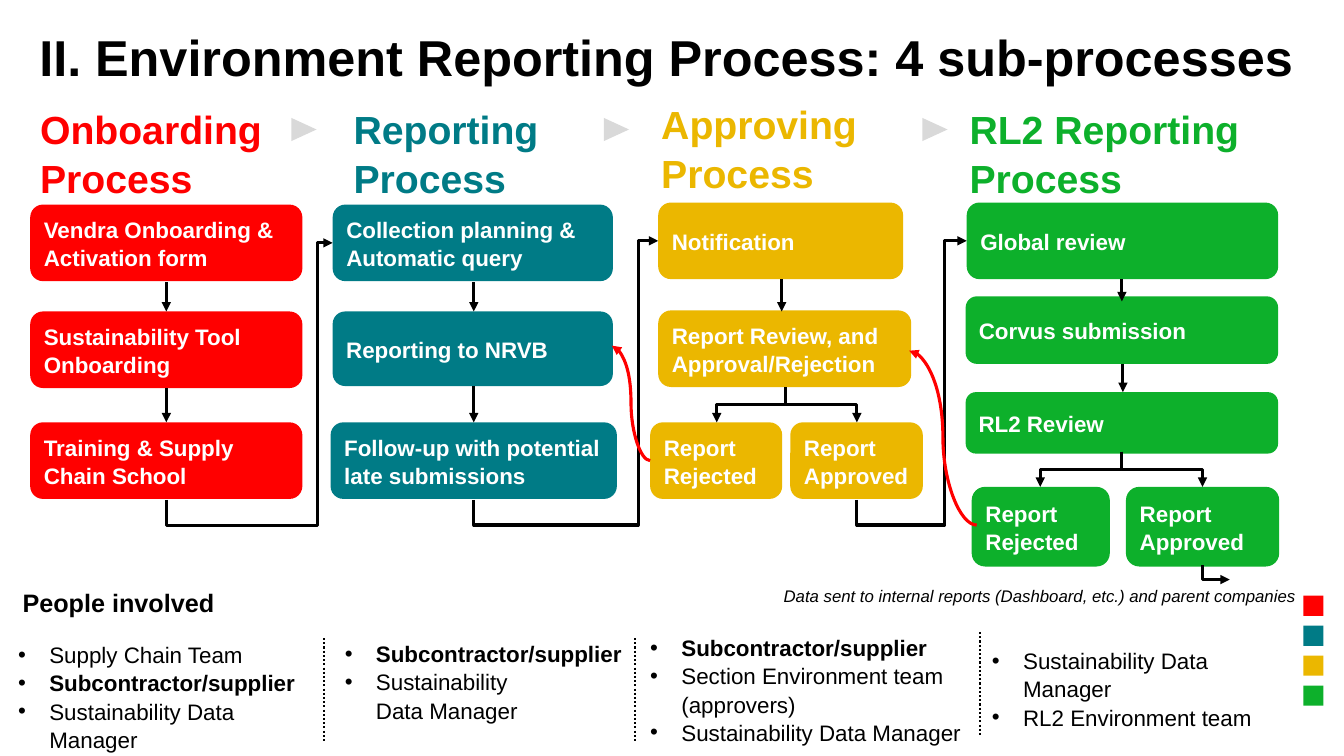
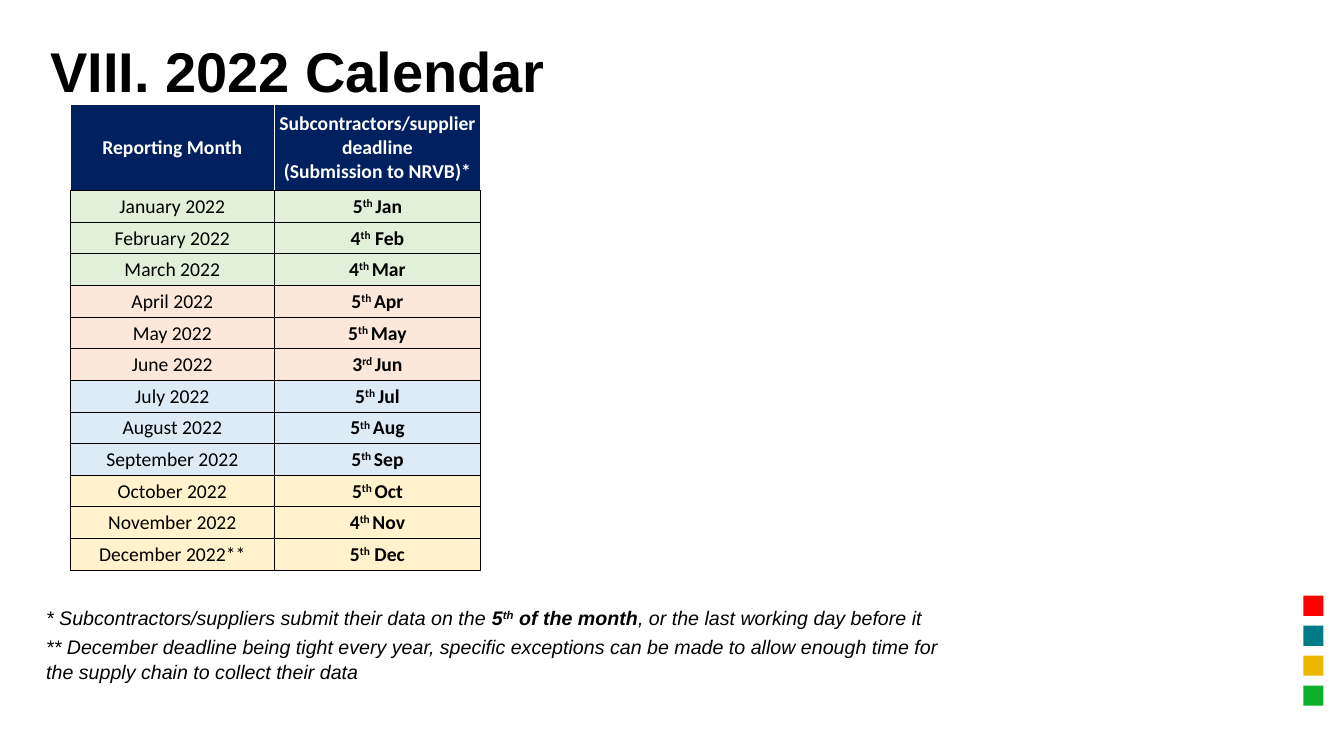
from lxml import etree
from pptx import Presentation
from pptx import util as u
from pptx.dml.color import RGBColor
from pptx.enum import dml, shapes, text
from pptx.oxml.ns import qn

CELL = u.Inches(0.1)  # side of one grid cell: all lengths count cells
INK = {
    "red": "FF0000", "teal": "007B86", "gold": "EBB700", "green": "0DB02B",
    "black": "000000", "white": "FFFFFF", "grey": "D9D9D9", "navy": "002060",
    "spring": "E2F0D9", "peach": "FDE7D8", "sky": "DDEBF7", "sand": "FFF2CC",
}
KIND = shapes.MSO_SHAPE
LINE = shapes.MSO_CONNECTOR
LEFT, MID, RIGHT = text.PP_ALIGN.LEFT, text.PP_ALIGN.CENTER, text.PP_ALIGN.RIGHT
TOP, CENTER = text.MSO_ANCHOR.TOP, text.MSO_ANCHOR.MIDDLE


def cells(*sizes):
    return [round(size * CELL) for size in sizes]


def tint(name):
    return RGBColor.from_string(INK[name])


def sub(node, tag, **attrs):
    child = etree.SubElement(node, qn(tag))
    for key, value in attrs.items():
        child.set(key, str(value))
    return child


class Deck:
    """Holds the style and the slide being filled."""

    def __init__(self):
        self.show = Presentation()
        self.show.slide_width, self.show.slide_height = cells(133.33, 75)
        self.page = None

    def begin(self, layout, title, at, size):
        self.page = self.show.slides.add_slide(self.show.slide_layouts[layout])
        self.fill(self.page.shapes.title, at, [title], size, bold=True, pad=0)
        for row, ink in enumerate(("red", "teal", "gold", "green")):
            self.shape(KIND.RECTANGLE, (129.3, 59.1 + 2.97 * row, 2, 2), ink)

    def words(self, para, copy, size, ink="black", bold=False, italic=False,
              align=LEFT, face="Arial", space=1.05):
        """Set one paragraph: _bold_, ^raised^, and a newline for a break."""
        para.alignment, para.line_spacing = align, space
        para.space_before = u.Pt(0)
        font = para.font
        font.name, font.size = face, u.Pt(size)
        font.bold, font.italic = bold, italic
        font.color.rgb = tint(ink)
        for row, line in enumerate(copy.split("\n")):
            if row:
                para.add_line_break()
            for heavy, part in enumerate(line.split("_")):
                for high, bit in enumerate(part.split("^")):
                    if bit:
                        run = para.add_run()
                        run.text = bit
                        if heavy % 2:
                            run.font.bold = True
                        if high % 2:
                            run.font._element.set("baseline", "30000")

    def fill(self, box, at, lines, size, pad=None, anchor=TOP, bullet=False, **style):
        """Place a box, then set its frame and its paragraphs."""
        box.left, box.top, box.width, box.height = cells(*at)
        frame = box.text_frame
        frame.word_wrap, frame.vertical_anchor = True, anchor
        frame.auto_size = text.MSO_AUTO_SIZE.NONE
        if pad is not None:
            frame.margin_left = frame.margin_right = pad
            frame.margin_top = frame.margin_bottom = pad
        for row, line in enumerate(lines):
            para = frame.add_paragraph() if row else frame.paragraphs[0]
            if bullet:
                props = para._p.get_or_add_pPr()
                hang = u.Inches(0.31)
                props.set("marL", str(hang))
                props.set("indent", str(-hang))
                sub(props, "a:buFont", typeface="Arial")
                sub(props, "a:buChar", char="•")
            self.words(para, line, size, **style)

    def label(self, at, line, size, **style):
        self.fill(self.page.shapes.add_textbox(0, 0, 0, 0), at, [line], size, **style)

    def bullets(self, slot, at, lines):
        self.fill(self.page.placeholders[slot], at, lines, 16, pad=0, bullet=True)

    def shape(self, kind, at, ink, turn=0):
        item = self.page.shapes.add_shape(kind, *cells(*at))
        item.shadow.inherit = False
        item.fill.solid()
        item.fill.fore_color.rgb = tint(ink)
        item.line.fill.background()
        item.rotation = turn
        return item

    def step(self, at, line, ink):
        item = self.shape(KIND.ROUNDED_RECTANGLE, at, ink)
        self.fill(item, at, [line], 16, anchor=CENTER, ink="white", bold=True)

    def wire(self, start, end, kind=LINE.STRAIGHT, ink="black", width=2.25, dots=False):
        item = self.page.shapes.add_connector(kind, *cells(*start, *end))
        item.line.width = u.Pt(width)
        item.line.color.rgb = tint(ink)
        props = item._element.spPr
        if dots:
            item.line.dash_style = dml.MSO_LINE.ROUND_DOT
        else:
            sub(props.get_or_add_ln(), "a:tailEnd", type="triangle")
        sub(props, "a:effectLst")
        return item

    def elbow(self, start, end, form="bentConnector3", bends=(0.5,)):
        """Bent arrow that leaves its start vertically."""
        (ax, ay), (bx, by) = start, end
        mx, my = (ax + bx) / 2, (ay + by) / 2
        turn = 270 if bx > ax and by > ay else 90
        sign = 1 if turn == 90 else -1
        dx, dy = sign * (ay - my), sign * (mx - ax)
        item = self.wire((mx + dx, my + dy), (mx - dx, my - dy), LINE.ELBOW)
        props = item._element.spPr
        props.find(qn("a:xfrm")).set("rot", str(turn * 60000))
        shape = props.find(qn("a:prstGeom"))
        shape.set("prst", form)
        for old in list(shape):
            shape.remove(old)
        guides = sub(shape, "a:avLst")
        for i, bend in enumerate(bends, 1):
            sub(guides, "a:gd", name=f"adj{i}", fmla=f"val {round(bend * 100000)}")

    def climb(self, start, end, lane):
        """Arrow that dips, rises along a lane and enters the next column."""
        (ax, ay), (bx, by) = start, end
        bends = (-2.5 / (ay - by), (lane - ax) / (bx - ax))
        self.elbow(start, end, "bentConnector4", bends)

    def edge(self, cell, sides):
        props = cell._tc.get_or_add_tcPr()
        for i, (side, ink) in enumerate(zip("LRTB", sides)):
            line = etree.Element(qn(f"a:ln{side}"), w=str(u.Pt(0.5)))
            sub(sub(line, "a:solidFill"), "a:srgbClr", val=INK[ink])
            props.insert(i, line)

    def cell(self, cell, lines, back, sides, **style):
        cell.fill.solid()
        cell.fill.fore_color.rgb = tint(back)
        cell.vertical_anchor = CENTER
        cell.margin_left = cell.margin_right = cell.margin_top = u.Inches(0.01)
        cell.margin_bottom = 0
        frame = cell.text_frame
        for row, line in enumerate(lines):
            para = frame.add_paragraph() if row else frame.paragraphs[0]
            self.words(para, line, 14, align=MID, face="Calibri", space=1.0, **style)
        self.edge(cell, sides)

    def table(self, at, widths, tall, head, rows):
        """Table whose body rows are (month, date, fill)."""
        grid = self.page.shapes.add_table(len(rows) + 1, len(widths), *cells(*at)).table
        grid.horz_banding = False
        for col, width in zip(grid.columns, cells(*widths)):
            col.width = width
        rest = (at[3] - tall) / len(rows)
        for row, height in zip(grid.rows, cells(tall, *[rest] * len(rows))):
            row.height = height
        for x, lines in enumerate(head):
            self.cell(grid.cell(0, x), lines, "navy", ["white"] * 3 + ["black"],
                      ink="white", bold=True)
        for y, (*pair, back) in enumerate(rows, 1):
            for x, line in enumerate(pair):
                self.cell(grid.cell(y, x), [line], back, ["black"] * 4, bold=x > 0)


def flow(deck):
    deck.begin(4, "II. Environment Reporting Process: 4 sub-processes",
               (3.9, 2.3, 126.3, 8.3), 36)
    heads = [
        ("Onboarding Process", (3, 9.7, 28, 10.4), "red", None),
        ("Reporting Process", (34.1, 9.7, 27, 10.4), "teal", None),
        ("Approving Process", (65.6, 9.7, 27.8, 11.8), "gold", 0),
        ("RL2 Reporting Process", (95.2, 9.7, 33.3, 10.4), "green", None),
    ]
    for line, at, ink, pad in heads:
        deck.label(at, line, 28, ink=ink, bold=True, pad=pad)

    steps = {
        "red": [
            ((3, 20.3, 27, 7.6), "Vendra Onboarding & Activation form"),
            ((3, 30.9, 27, 7.6), "Sustainability Tool Onboarding"),
            ((3, 41.9, 27, 7.6), "Training & Supply Chain School"),
        ],
        "teal": [
            ((33, 20.3, 27.8, 7.6), "Collection planning & Automatic query"),
            ((33, 30.9, 27.8, 7.4), "Reporting to NRVB"),
            ((32.8, 41.9, 28.4, 7.6), "Follow-up with potential late submissions"),
        ],
        "gold": [
            ((65.3, 20.1, 24.3, 7.6), "Notification"),
            ((65.3, 30.8, 25.1, 7.6), "Report Review, and Approval/Rejection"),
            ((64.5, 41.9, 13.1, 7.6), "Report Rejected"),
            ((78.4, 41.9, 13.15, 7.6), "Report Approved"),
        ],
        "green": [
            ((95.9, 20.1, 30.9, 7.6), "Global review"),
            ((95.8, 29.4, 31, 6.7), "Corvus submission"),
            ((95.8, 38.9, 31, 6.1), "RL2 Review"),
            ((96.4, 48.3, 13.7, 7.9), "Report Rejected"),
            ((111.7, 48.3, 15.2, 7.9), "Report Approved"),
        ],
    }
    for ink, items in steps.items():
        for at, line in items:
            deck.step(at, line, ink)

    drops = [(16.5, 28, 30.9), (16.5, 38.5, 41.9), (47, 28, 30.9), (47, 38.3, 41.9),
             (77.55, 27.7, 30.9), (111.3, 27.7, 29.9), (111.4, 36.1, 38.9)]
    for x, top, end in drops:
        deck.wire((x, top), (x, end))
    forks = [((77.9, 38.4), (71.1, 85), 41.9), ((111.3, 44.8), (103.2, 119.3), 48.3)]
    for start, ends, y in forks:
        for x in ends:
            deck.elbow(start, (x, y))
    deck.climb((16.5, 49.6), (33, 24.1), 31.5)
    deck.climb((47, 49.6), (65.3, 23.9), 63.3)
    deck.climb((85, 49.6), (95.9, 23.9), 93.7)
    deck.elbow((119.3, 56.1), (122, 57.5), "bentConnector2", ())
    for start, end in [((96.9, 52.1), (90.2, 34.8)), ((64.5, 45.7), (60.7, 34.3))]:
        deck.wire(start, end, LINE.CURVE, "red")

    deck.label((74.8, 58, 53.8, 4.7), "Data sent to internal reports (Dashboard, etc.) "
               "and parent companies", 12, pad=0, italic=True, align=RIGHT)
    deck.label((0, 58, 23.5, 3.4), "People involved", 18, pad=0, bold=True,
               align=MID, anchor=CENTER)
    teams = [
        ((1.8, 63.5, 29.3, 7.3), ["Supply Chain Team", "_Subcontractor/supplier_",
                                  "Sustainability Data Manager"]),
        ((34.2, 63.4, 27.7, 7.4), ["_Subcontractor/supplier_",
                                   "Sustainability\nData Manager"]),
        ((64.5, 62.8, 31.8, 11.4), ["_Subcontractor/supplier_",
                                    "Section Environment team (approvers)",
                                    "Sustainability Data Manager"]),
        ((98.4, 64.1, 31.3, 8.6), ["Sustainability Data\nManager",
                                   "RL2 Environment team"]),
    ]
    for slot, (at, lines) in enumerate(teams, 1):
        deck.bullets(slot, at, lines)
    for x, y in [(32.1, 63.3), (63, 63.3), (97.2, 62.7)]:
        deck.wire((x, y), (x, y + 10.2), width=1.5, dots=True)
    for x in (29, 60, 91.6):
        deck.shape(KIND.ISOSCELES_TRIANGLE, (x, 11.6, 2.3, 2.5), "grey", 90)


def dates(deck):
    deck.begin(5, "VIII. 2022 Calendar", (5, 3.3, 123.3, 10.6), 40)
    head = [["Reporting Month"],
            ["Subcontractors/supplier deadline", "(Submission to NRVB)*"]]
    due = [
        ("January 2022", "5^th ^Jan"), ("February 2022", "4^th^ Feb"),
        ("March 2022", "4^th ^Mar"), ("April 2022", "5^th ^Apr"),
        ("May 2022", "5^th ^May"), ("June 2022", "3^rd ^Jun"),
        ("July 2022", "5^th ^Jul"), ("August 2022", "5^th ^Aug"),
        ("September 2022", "5^th ^Sep"), ("October 2022", "5^th ^Oct"),
        ("November 2022", "4^th ^Nov"), ("December 2022**", "5^th^ Dec"),
    ]
    terms = ("spring", "peach", "sky", "sand")
    rows = [(month, day, terms[i // 3]) for i, (month, day) in enumerate(due)]
    deck.table((7, 10.3, 40.7, 46.3), (20.2, 20.5), 8.6, head, rows)
    deck.label((3.6, 59.5, 92.3, 3.4), "* Subcontractors/suppliers submit their data on "
               "the _5^th^ of the month_, or the last working day before it", 14,
               italic=True)
    deck.label((3.6, 62.4, 92.3, 5.7), "** December deadline being tight every year, "
               "specific exceptions can be made to allow enough time for the supply "
               "chain to collect their data", 14, italic=True)


def main():
    deck = Deck()
    flow(deck)
    dates(deck)
    deck.show.save("out.pptx")


if __name__ == "__main__":
    main()
